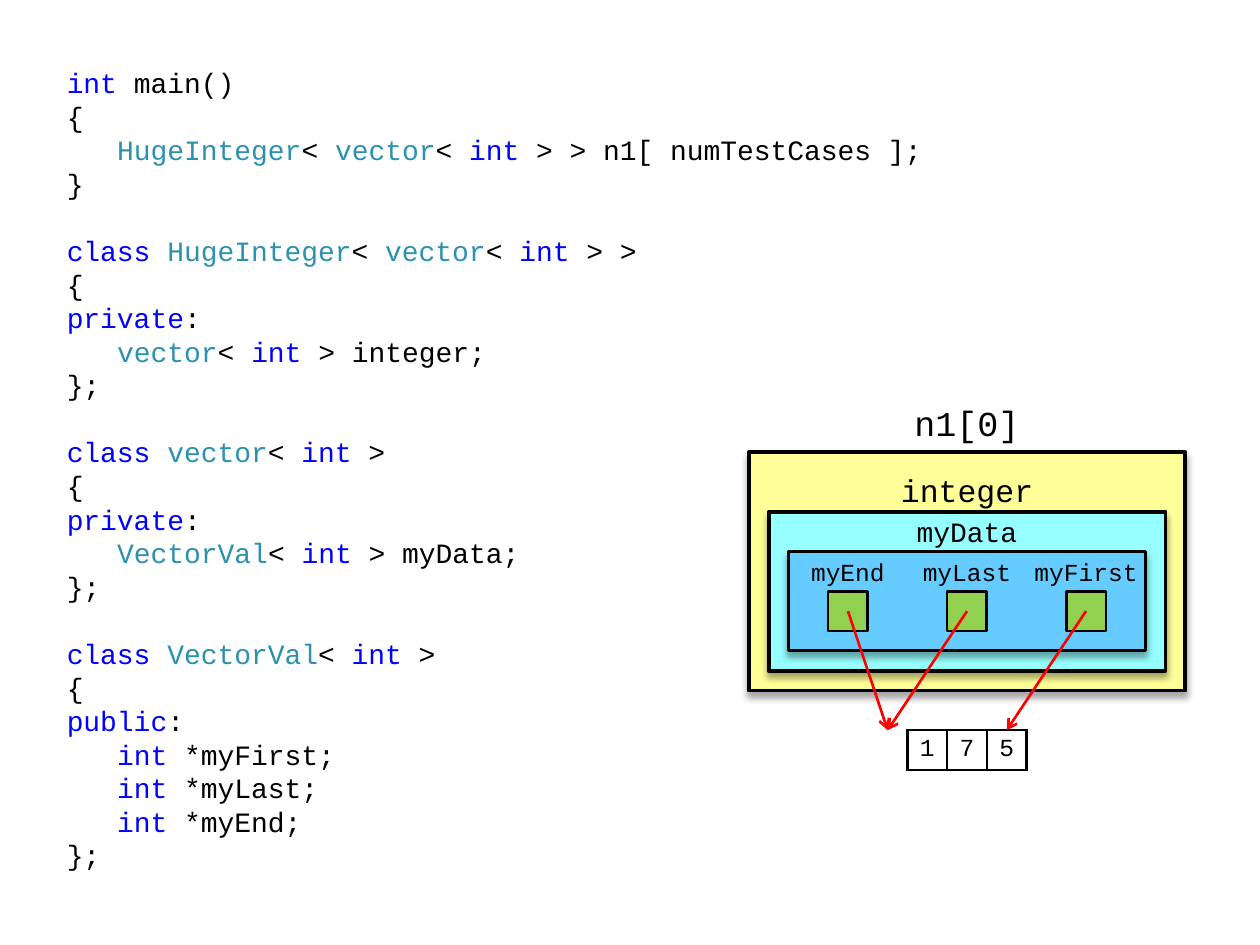
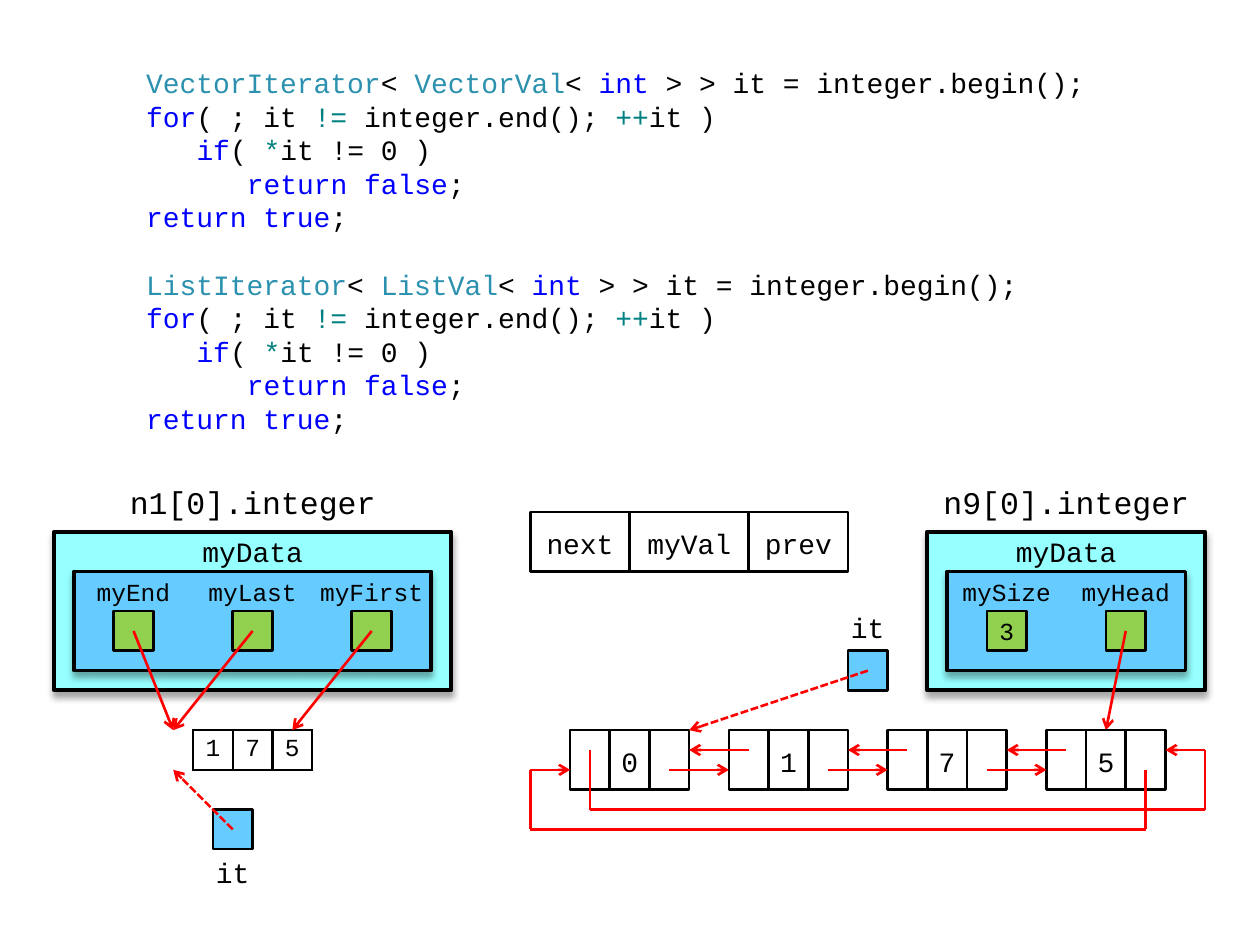
from lxml.etree import SubElement
from pptx import Presentation
from pptx.dml.color import RGBColor
from pptx.enum.dml import MSO_LINE
from pptx.enum.shapes import MSO_CONNECTOR, MSO_SHAPE
from pptx.enum.text import MSO_ANCHOR, MSO_AUTO_SIZE, PP_ALIGN
from pptx.oxml.ns import qn
from pptx.util import Inches, Pt

BLACK = RGBColor(0x00, 0x00, 0x00)
RED = RGBColor(0xFF, 0x00, 0x00)
YELLOW = RGBColor(0xFF, 0xFF, 0x99)
CYAN = RGBColor(0x96, 0xFF, 0xFF)
SKY = RGBColor(0x66, 0xCC, 0xFF)
GREEN = RGBColor(0x92, 0xD0, 0x50)
KEYWORD = RGBColor(0x00, 0x00, 0xFF)
TYPE_NAME = RGBColor(0x2B, 0x91, 0xAF)
OPERATOR = RGBColor(0x00, 0x80, 0x80)

FONT = "Courier New"
GRID_LEFT, GRID_TOP, GRID_STEP = 0.43, 0.44, 0.63 / 4
CODE_LINE = Pt(19.2)
CODE_INDENT = Inches(0.4)

TOKEN_COLORS = {
    **dict.fromkeys(["int", "class", "private", "public", "for", "if",
                     "return", "return true", "return false"], KEYWORD),
    **dict.fromkeys(["HugeInteger", "vector", "VectorVal", "VectorIterator",
                     "ListIterator", "ListVal"], TYPE_NAME),
    **dict.fromkeys(["!=", "++", "*"], OPERATOR),
}

CLASS_CODE = [
    [(0, "int| main()"), (0, "{"),
     (1, "HugeInteger|< |vector|< |int| > > n1[ numTestCases ];"), (0, "}")],
    [(0, "class |HugeInteger|< |vector|< |int| > >"), (0, "{"),
     (0, "private|:"), (1, "vector|< |int| > integer;"), (0, "};")],
    [(0, "class |vector|< |int| >"), (0, "{"),
     (0, "private|:"), (1, "VectorVal|< |int| > myData;"), (0, "};")],
    [(0, "class |VectorVal|< |int| >"), (0, "{"), (0, "public|:"),
     (1, "int| *myFirst;"), (1, "int| *myLast;"), (1, "int| *myEnd;"), (0, "};")],
]
ZERO_TEST = [
    (0, "for|( ; it |!= |integer.end(); |++|it )"),
    (1, "if|( |*|it != 0 )"),
    (2, "return false|;"),
    (0, "return true|;"),
]
ITERATOR_CODE = [
    [(0, f"{iterator}|< |{value}|< |int| > > it = integer.begin();"), *ZERO_TEST]
    for iterator, value in [("VectorIterator", "VectorVal"), ("ListIterator", "ListVal")]
]


def span(units):
    return Inches(units * GRID_STEP)


def point(column, row):
    return Inches(GRID_LEFT) + span(column), Inches(GRID_TOP) + span(row)


def apply_format(target, **values):
    for name, value in values.items():
        setattr(target, name, value)


def add_run(paragraph, text, size, color=BLACK):
    run = paragraph.add_run()
    run.text = text
    apply_format(run.font, name=FONT, size=Pt(size))
    run.font.color.rgb = color


def write_centred(frame, text, size):
    paragraph = frame.paragraphs[0]
    paragraph.alignment = PP_ALIGN.CENTER
    add_run(paragraph, text, size)


def add_label(slide, box, text, size, margins=(0.05, 0.05), anchor=MSO_ANCHOR.MIDDLE):
    left, top, width, height = box
    label = slide.shapes.add_textbox(*point(left, top), span(width), span(height))
    apply_format(label.text_frame, word_wrap=False, vertical_anchor=anchor,
                 margin_left=Inches(0.04), margin_right=Inches(0.04),
                 margin_top=Inches(margins[0]), margin_bottom=Inches(margins[1]))
    write_centred(label.text_frame, text, size)


def add_box(slide, box, fill=None, line_width=1.5, text="", size=16,
            margins=(0.06, 0.04), preset=MSO_SHAPE.RECTANGLE):
    left, top, width, height = box
    shape = slide.shapes.add_shape(preset, *point(left, top), span(width), span(height))
    shape.shadow.inherit = False
    if fill is None:
        shape.fill.background()
    else:
        shape.fill.solid()
        shape.fill.fore_color.rgb = fill
    shape.line.color.rgb = BLACK
    shape.line.width = Pt(line_width)
    if text:
        apply_format(shape.text_frame, word_wrap=False,
                     vertical_anchor=MSO_ANCHOR.MIDDLE,
                     margin_top=Inches(margins[0]), margin_bottom=Inches(margins[1]))
        write_centred(shape.text_frame, text, size)
    return shape


def add_object_box(slide, box, fill, line_width=2.25):
    shape = add_box(slide, box, fill, line_width, preset=MSO_SHAPE.FLOWCHART_PROCESS)
    effects = shape._element.spPr.find(qn("a:effectLst"))
    shadow = SubElement(effects, qn("a:outerShdw"), blurRad=str(Pt(4)),
                        dist=str(Pt(3)), dir="5400000", rotWithShape="0")
    color = SubElement(shadow, qn("a:srgbClr"), val=str(BLACK))
    SubElement(color, qn("a:alpha"), val="35000")


def add_arrow(slide, *stops, dashed=False):
    for start, end in zip(stops, stops[1:]):
        connector = slide.shapes.add_connector(
            MSO_CONNECTOR.STRAIGHT, *point(*start), *point(*end))
        connector.line.color.rgb = RED
        connector.line.width = Pt(1.5)
        if dashed:
            connector.line.dash_style = MSO_LINE.SQUARE_DOT
        properties = connector._element.spPr
        if end == stops[-1]:
            SubElement(properties.find(qn("a:ln")), qn("a:tailEnd"), type="arrow")
        SubElement(properties, qn("a:effectLst"))


def add_code_slide(presentation, box, groups):
    slide = presentation.slides.add_slide(presentation.slide_layouts[1])
    title = slide.shapes.title
    title._element.getparent().remove(title._element)
    body = slide.placeholders[1]
    left, top, width, height = box
    body_left, body_top = point(left, top)
    apply_format(body, left=body_left, top=body_top, width=span(width), height=span(height))
    frame = body.text_frame
    apply_format(frame, word_wrap=True, auto_size=MSO_AUTO_SIZE.NONE,
                 vertical_anchor=MSO_ANCHOR.TOP, margin_top=Inches(0.08))
    paragraph = None
    for group in groups:
        for number, (level, line) in enumerate(group):
            starts_group = paragraph is not None and number == 0
            paragraph = frame.add_paragraph() if paragraph is not None else frame.paragraphs[0]
            apply_format(paragraph, alignment=PP_ALIGN.LEFT, line_spacing=CODE_LINE,
                         space_before=CODE_LINE if starts_group else Pt(0),
                         space_after=Pt(0))
            properties = paragraph._p.get_or_add_pPr()
            properties.set("marL", str(level * CODE_INDENT))
            properties.set("indent", "0")
            SubElement(properties, qn("a:buNone"))
            for token in line.split("|"):
                add_run(paragraph, token, 16, TOKEN_COLORS.get(token.strip(), BLACK))
    return slide


def add_digit_table(slide, left, top, digits):
    table_shape = slide.shapes.add_table(
        1, len(digits), *point(left, top), span(2 * len(digits)), span(2))
    table = table_shape.table
    apply_format(table, first_row=False, horz_banding=False)
    for cell, digit in zip(table.rows[0].cells, digits):
        apply_format(cell, vertical_anchor=MSO_ANCHOR.MIDDLE,
                     margin_left=Inches(0.06), margin_right=Inches(0.06),
                     margin_top=Inches(0.04), margin_bottom=Inches(0.04))
        write_centred(cell.text_frame, digit, 14)
        properties = cell._tc.get_or_add_tcPr()
        for side in ("a:lnL", "a:lnR", "a:lnT", "a:lnB"):
            border = SubElement(properties, qn(side), w=str(Pt(1.5)))
            SubElement(SubElement(border, qn("a:solidFill")), qn("a:srgbClr"), val=str(BLACK))
        cell.fill.background()


def add_data_object(slide, left, top, fields):
    width = 6 * len(fields) + 2
    add_object_box(slide, (left, top, width, 8), CYAN)
    add_label(slide, (left + width / 2 - 4, top, 8, 2), "myData", 16, (0, 0))
    add_object_box(slide, (left + 1, top + 2, width - 2, 5), SKY, 2)
    for index, (name, value) in enumerate(fields):
        field_left = left + 1 + 6 * index
        add_label(slide, (field_left, top + 2, 6, 2), name, 14)
        add_box(slide, (field_left + 2, top + 4, 2, 2), GREEN, text=value,
                size=14, margins=(0.05, 0.05))


def add_vector(slide, left, top, table_top):
    add_data_object(slide, left, top, [("myEnd", ""), ("myLast", ""), ("myFirst", "")])
    add_digit_table(slide, left + 7, table_top, "175")
    for start, end in [(16, 12), (10, 6), (4, 6)]:
        add_arrow(slide, (left + start, top + 5), (left + end, table_top))


def add_iterator(slide, left, top, target, label_offset, anchor):
    add_box(slide, (left, top, 2, 2), SKY)
    add_label(slide, (left - 1, top + label_offset, 4, 2), "it", 16, anchor=anchor)
    add_arrow(slide, (left + 1, top + 1), target, dashed=True)


def add_node_legend(slide, left, top):
    for name, width in [("next", 5), ("myVal", 6), ("prev", 5)]:
        add_box(slide, (left, top, width, 3), text=name)
        left += width


def add_linked_list(slide, left, top, values):
    pitch, node_width = 8, 6
    for index, value in enumerate(values):
        node_left = left + pitch * index
        for offset, text in enumerate(["", value, ""]):
            add_box(slide, (node_left + 2 * offset, top, 2, 3), text=text)
        if index:
            previous_right = node_left - pitch + node_width
            add_arrow(slide, (node_left + 1, top + 1), (previous_right, top + 1))
            add_arrow(slide, (previous_right - 1, top + 2), (node_left, top + 2))
    right = node_left + node_width
    add_arrow(slide, (left + 1, top + 1), (left + 1, top + 4), (right + 2, top + 4),
              (right + 2, top + 1), (right, top + 1))
    add_arrow(slide, (right - 1, top + 2), (right - 1, top + 5), (left - 2, top + 5),
              (left - 2, top + 2), (left, top + 2))


def build_class_slide(presentation):
    slide = add_code_slide(presentation, (0, 0, 45, 42), CLASS_CODE)
    left, top = 35, 20
    add_object_box(slide, (left, top, 22, 12), YELLOW)
    add_label(slide, (left + 7, top - 3, 8, 3), "n1[0]", 20)
    add_label(slide, (left + 7, top, 8, 3), "integer", 18, (0.12, 0))
    add_vector(slide, left + 1, top + 3, top + 14)


def build_iterator_slide(presentation):
    slide = add_code_slide(presentation, (4, 0, 50, 19), ITERATOR_CODE)
    top, list_top = 24, 34
    add_label(slide, (3, top - 3, 14, 3), "n1[0].integer", 18)
    add_vector(slide, 0, top, list_top)
    add_iterator(slide, 8, 38, (6, 36), 2, MSO_ANCHOR.TOP)
    add_node_legend(slide, 24, 23)
    add_label(slide, (44, top - 3, 14, 3), "n9[0].integer", 18)
    add_data_object(slide, 44, top, [("mySize", "3"), ("myHead", "")])
    add_arrow(slide, (54, top + 5), (53, list_top))
    add_linked_list(slide, 26, list_top, "0175")
    add_iterator(slide, 40, 30, (32, list_top), -2, MSO_ANCHOR.BOTTOM)


def main():
    presentation = Presentation()
    apply_format(presentation, slide_width=Inches(10), slide_height=Inches(7.5))
    build_class_slide(presentation)
    build_iterator_slide(presentation)
    presentation.save("out.pptx")


if __name__ == "__main__":
    main()
